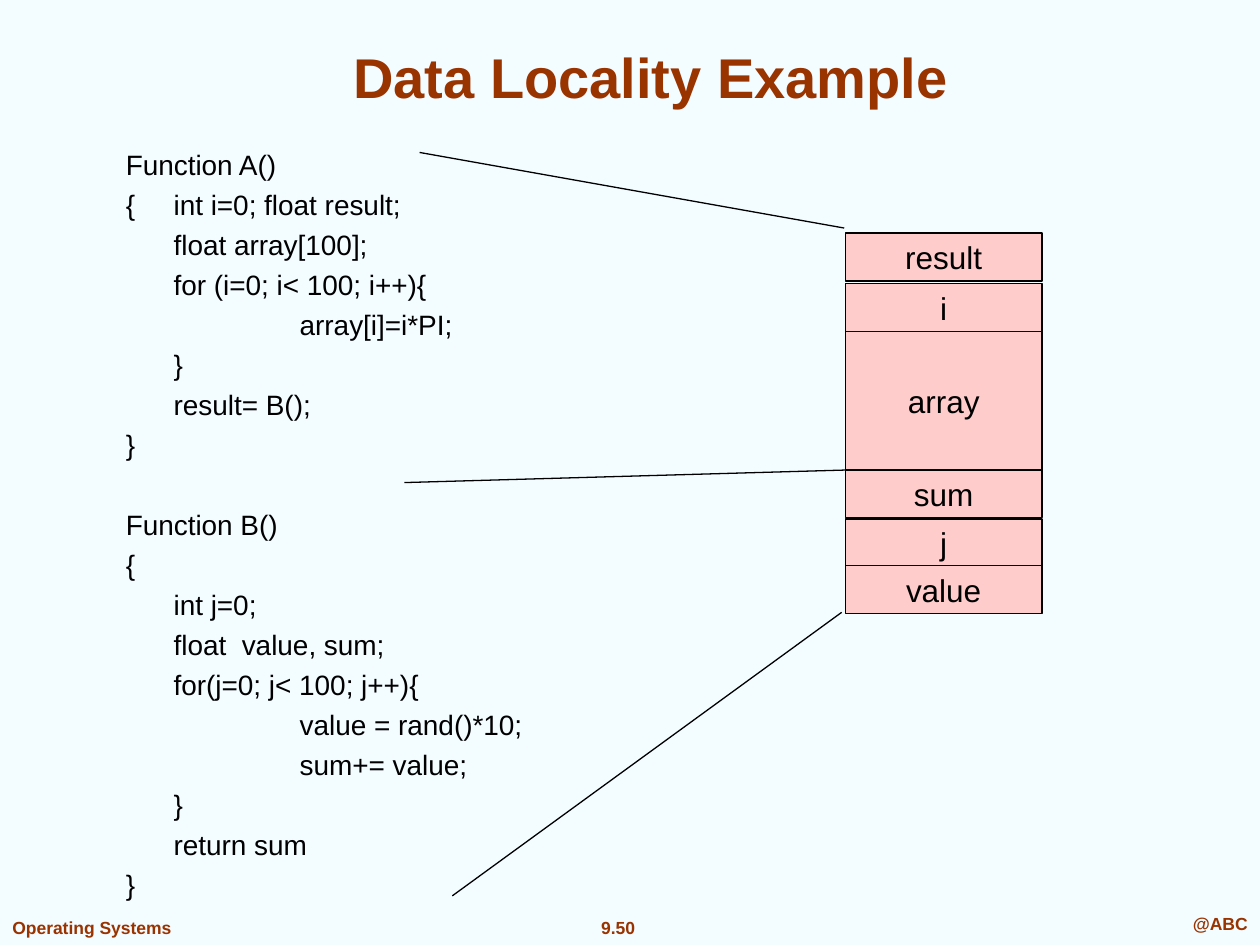
from dataclasses import dataclass

from pptx import Presentation
from pptx.dml.color import RGBColor
from pptx.enum.shapes import MSO_CONNECTOR, MSO_SHAPE
from pptx.enum.text import MSO_ANCHOR, PP_ALIGN
from pptx.oxml.ns import qn
from pptx.util import Inches, Pt
from lxml import etree

LEFT, CENTER, RIGHT = PP_ALIGN.LEFT, PP_ALIGN.CENTER, PP_ALIGN.RIGHT
TOP, MIDDLE, BOTTOM = MSO_ANCHOR.TOP, MSO_ANCHOR.MIDDLE, MSO_ANCHOR.BOTTOM
RECTANGLE, STRAIGHT = MSO_SHAPE.RECTANGLE, MSO_CONNECTOR.STRAIGHT

BACKGROUND, BROWN, PINK, BLACK = "F3FCFF", "993300", "FFCCCC", "000000"
STACK_LEFT, STACK_WIDTH = 6.71, 1.56
LINE_GAP, FUNCTION_GAP = 5.6, 28.4
CODE_INDENT = {
    "marL": Inches(0.38),
    "indent": Inches(-0.38),
    "defTabSz": Inches(1),
}


@dataclass
class Label:
    text: str
    left: float
    top: float
    width: float
    height: float
    size: int
    align: int
    anchor: int = TOP
    wrap: bool = True


@dataclass
class Variable:
    name: str
    top: float
    height: float = 0.38


@dataclass
class Guide:
    x1: float
    y1: float
    x2: float
    y2: float


LABELS = [
    Label("9.50", 4.66, 7.23, 0.49, 0.27, 10, CENTER, wrap=False),
    Label("@ABC", 7.1, 7.2, 2.9, 0.27, 10, RIGHT),
    Label("Operating Systems", 0, 7.23, 1.47, 0.27, 10, LEFT, wrap=False),
    Label("Data Locality Example", 0.75, 0.25, 8.83, 0.67, 32, CENTER, BOTTOM),
]
FUNCTIONS = [
    [
        "Function A()",
        "{\tint i=0; float result;",
        "\tfloat array[100];",
        "\tfor (i=0; i< 100; i++){",
        "\t\tarray[i]=i*PI;",
        "\t}",
        "\tresult= B();",
        "}",
    ],
    [
        "Function B()",
        "{",
        "\tint j=0;",
        "\tfloat  value, sum;",
        "\tfor(j=0; j< 100; j++){",
        "\t\tvalue = rand()*10;",
        "\t\tsum+= value;",
        "\t}",
        "\treturn sum",
        "}",
    ],
]
VARIABLES = [
    Variable("result", 1.85),
    Variable("i", 2.25),
    Variable("array", 2.63, 1.1),
    Variable("sum", 3.73),
    Variable("j", 4.12),
    Variable("value", 4.49),
]
GUIDES = [
    Guide(3.33, 1.21, 6.7, 1.81),
    Guide(3.21, 3.83, 6.73, 3.73),
    Guide(3.59, 7.11, 6.68, 4.86),
]


def rgb(value: str) -> RGBColor:
    return RGBColor.from_string(value)


def set_attrs(target, values: dict) -> None:
    for name, value in values.items():
        setattr(target, name, value)


def write(p, text: str, size: int, color: str, bold: bool = False) -> None:
    r = p.add_run()
    r.text = text
    set_attrs(r.font, {"name": "Arial", "size": Pt(size), "bold": bold})
    r.font.color.rgb = rgb(color)


def add_label(s, label: Label) -> None:
    box = [Inches(v) for v in (label.left, label.top, label.width, label.height)]
    tf = s.shapes.add_textbox(*box).text_frame
    set_attrs(tf, {"word_wrap": label.wrap, "vertical_anchor": label.anchor})
    p = tf.paragraphs[0]
    p.alignment = label.align
    write(p, label.text, label.size, BROWN, True)


def add_code(s, functions: list[list[str]]) -> None:
    box = s.shapes.add_textbox(Inches(0.9), Inches(1.15), Inches(4.47), Inches(5.82))
    tf = box.text_frame
    tf.word_wrap = True
    p = tf.paragraphs[0]
    for number, lines in enumerate(functions):
        for row, line in enumerate(lines):
            if number or row:
                p = tf.add_paragraph()
            gap = FUNCTION_GAP if number and not row else LINE_GAP
            set_attrs(p, {"line_spacing": 0.9, "space_before": Pt(gap)})
            pPr = p._p.get_or_add_pPr()
            for name, value in CODE_INDENT.items():
                pPr.set(name, str(value))
            write(p, line, 16, BLACK)


def add_variable(s, variable: Variable) -> None:
    box = [Inches(v) for v in (STACK_LEFT, variable.top, STACK_WIDTH, variable.height)]
    sp = s.shapes.add_shape(RECTANGLE, *box)
    sp.shadow.inherit = False
    sp.fill.solid()
    sp.fill.fore_color.rgb = rgb(PINK)
    sp.line.color.rgb = rgb(BLACK)
    sp.line.width = Pt(0.75)
    tf = sp.text_frame
    set_attrs(tf, {"word_wrap": False, "vertical_anchor": MIDDLE})
    p = tf.paragraphs[0]
    p.alignment = CENTER
    write(p, variable.name, 18, BLACK)


def add_guide(s, guide: Guide) -> None:
    ends = [Inches(v) for v in (guide.x1, guide.y1, guide.x2, guide.y2)]
    line = s.shapes.add_connector(STRAIGHT, *ends)
    line.line.color.rgb = rgb(BLACK)
    line.line.width = Pt(0.75)
    etree.SubElement(line._element.spPr, qn("a:effectLst"))


def main() -> None:
    prs = Presentation()
    set_attrs(prs, {"slide_width": Inches(10), "slide_height": Inches(7.5)})
    s = prs.slides.add_slide(prs.slide_layouts[6])
    s.background.fill.solid()
    s.background.fill.fore_color.rgb = rgb(BACKGROUND)
    for label in LABELS:
        add_label(s, label)
    add_code(s, FUNCTIONS)
    for variable in VARIABLES:
        add_variable(s, variable)
    for guide in GUIDES:
        add_guide(s, guide)
    prs.save("out.pptx")


if __name__ == "__main__":
    main()
